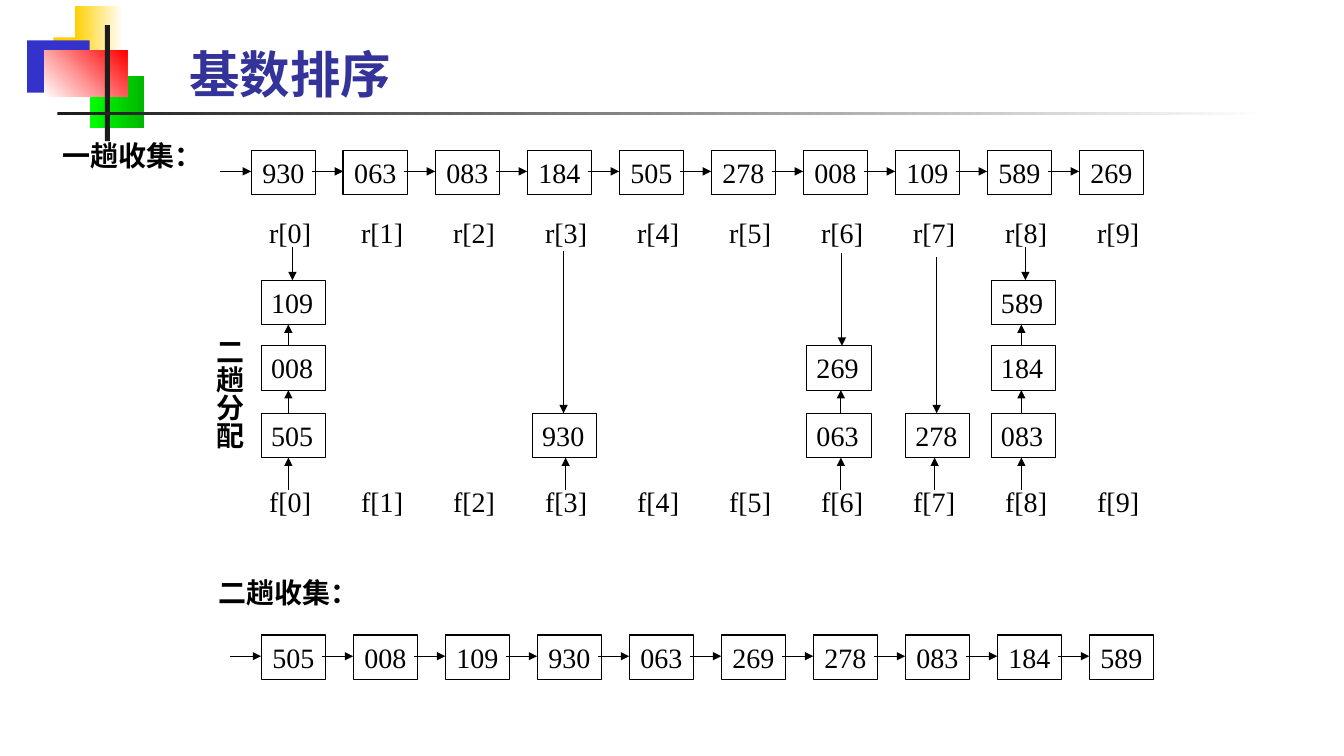
from lxml import etree
from pptx import Presentation
from pptx.dml.color import RGBColor
from pptx.enum.shapes import MSO_CONNECTOR, MSO_SHAPE
from pptx.enum.text import MSO_ANCHOR, PP_ALIGN
from pptx.oxml.ns import qn
from pptx.util import Inches, Pt

RECT, STRAIGHT = MSO_SHAPE.RECTANGLE, MSO_CONNECTOR.STRAIGHT
TOP, MIDDLE, BOTTOM = MSO_ANCHOR.TOP, MSO_ANCHOR.MIDDLE, MSO_ANCHOR.BOTTOM
LEFT, CENTER = PP_ALIGN.LEFT, PP_ALIGN.CENTER

BLACK = RGBColor(0x00, 0x00, 0x00)
WHITE = RGBColor(0xFF, 0xFF, 0xFF)
CHARCOAL = RGBColor(0x1C, 0x1C, 0x1C)
YELLOW = RGBColor(0xFF, 0xCF, 0x01)
BLUE = RGBColor(0x33, 0x33, 0xCC)
LIME = RGBColor(0x00, 0xFF, 0x00)
GREEN = RGBColor(0x00, 0xB6, 0x00)
RED = RGBColor(0xFF, 0x00, 0x00)
TITLE_BLUE = RGBColor(0x33, 0x33, 0x99)

BODY_FONT, TITLE_FONT = "Times New Roman", "Arial Narrow"

TITLE = "基数排序"
FIRST_CHAIN = "930 063 083 184 505 278 008 109 589 269".split()
SECOND_CHAIN = "505 008 109 930 063 269 278 083 184 589".split()

# Box left, x of upward arrows, x of downward arrow, its start, keys bottom up
BUCKETS = [
    (2.59, 2.86, 2.90, 2.45, ["505", "008", "109"]),
    (5.28, 5.61, 5.59, 2.49, ["930"]),
    (8.00, 8.34, 8.35, 2.51, ["063", "269"]),
    (8.98, 9.27, 9.29, 2.55, ["278"]),
    (9.83, 10.13, 10.17, 2.45, ["083", "184", "589"]),
]

# Position and size, colour stops, gradient angle
DECORATION = [
    ((0.53, 0.37, 0.64, 0.52), [YELLOW], 0),
    ((0.74, 0.06, 0.48, 0.52), [YELLOW, WHITE], 0),
    ((0.27, 0.40, 0.62, 0.52), [BLUE], 0),
    ((0.89, 0.75, 0.54, 0.52), [LIME, GREEN], 0),
    ((0.44, 0.50, 0.82, 0.46), [WHITE, RED], 45),
    ((1.04, 0.25, 0.05, 1.15), [CHARCOAL], 0),
    ((0.57, 1.11, 12, 0.03), [CHARCOAL, WHITE], 0),
]

COLUMN = 0.9125
BOX_W, BOX_H = 0.64, 0.44
CHAIN_ARROW = 0.31
BUCKET_ROWS = [4.10, 3.43, 2.78]
LABEL_LEFT, LABEL_W = 2.57, 0.62
REAR_TOP, FRONT_TOP = 2.09, 4.76
FRONT_ARROW_START = 4.86

prs = Presentation()
prs.slide_width, prs.slide_height = Inches(13.33), Inches(7.5)
s = prs.slides.add_slide(prs.slide_layouts[6])


def inches(*values):
    return [Inches(v) for v in values]


def write(shape, text, size=20, font=BODY_FONT, color=BLACK, bold=False,
          anchor=TOP, align=LEFT, wrap=False):
    tf = shape.text_frame
    tf.text = text
    tf.word_wrap = wrap
    tf.vertical_anchor = anchor
    p = tf.paragraphs[0]
    p.alignment = align
    f = p.runs[0].font
    f.size, f.name, f.bold, f.color.rgb = Pt(size), font, bold, color


def add_text(at, text, **style):
    tb = s.shapes.add_textbox(*inches(*at))
    write(tb, text, **style)
    return tb


def add_box(x, y, key, **style):
    sp = s.shapes.add_shape(RECT, *inches(x, y, BOX_W, BOX_H))
    sp.shadow.inherit = False
    sp.fill.background()
    sp.line.color.rgb, sp.line.width = BLACK, Pt(0.75)
    write(sp, key, **style)


def add_arrow(x1, y1, x2, y2):
    c = s.shapes.add_connector(STRAIGHT, *inches(x1, y1, x2, y2))
    c.line.color.rgb, c.line.width = BLACK, Pt(0.75)
    etree.SubElement(c.line._get_or_add_ln(), qn("a:tailEnd"), type="triangle")
    etree.SubElement(c._element.spPr, qn("a:effectLst"))


def add_decoration(at, colors, angle):
    sp = s.shapes.add_shape(RECT, *inches(*at))
    sp.shadow.inherit = False
    sp.line.fill.background()
    if len(colors) == 1:
        sp.fill.solid()
        sp.fill.fore_color.rgb = colors[0]
        return
    sp.fill.gradient()
    sp.fill.gradient_angle = angle
    for stop, color in zip(sp.fill.gradient_stops, colors):
        stop.color.rgb = color


def add_chain(left, top, keys):
    """Row of linked boxes, each with an arrow leading into it."""
    for i, key in enumerate(keys):
        x, y = left + i * COLUMN, top + 0.21
        add_box(x, top, key, anchor=MIDDLE, align=CENTER)
        add_arrow(x - CHAIN_ARROW, y, x, y)


def add_bucket(left, up_x, down_x, rear_start, keys):
    """Stack of boxes linked upward from f[i], with r[i] pointing at the top."""
    arrow_start = FRONT_ARROW_START
    for top, key in zip(BUCKET_ROWS, keys):
        add_box(left, top, key, wrap=True)
        add_arrow(up_x, arrow_start, up_x, top + BOX_H)
        arrow_start = top
    add_arrow(down_x, rear_start, down_x, arrow_start)


for item in DECORATION:
    add_decoration(*item)
add_text((1.78, 0.25, 5.04, 0.83), TITLE, size=36, font=TITLE_FONT,
         color=TITLE_BLUE, bold=True, anchor=BOTTOM, wrap=True)

add_text((0.52, 1.32, 1.6, 0.43), "一趟收集：", bold=True)
add_chain(2.49, 1.49, FIRST_CHAIN)

for i in range(10):
    for name, top in (("r", REAR_TOP), ("f", FRONT_TOP)):
        add_text((LABEL_LEFT + i * COLUMN, top, LABEL_W, BOX_H), f"{name}[{i}]")
for bucket in BUCKETS:
    add_bucket(*bucket)
pass_label = add_text((1.95, 3.25, 0.54, 1.2), "二趟分配", bold=True)
pass_label.text_frame._txBody.bodyPr.set("vert", "eaVert")

add_text((2.07, 5.66, 1.6, 0.43), "二趟收集：", bold=True)
add_chain(2.59, 6.30, SECOND_CHAIN)

prs.save("out.pptx")
